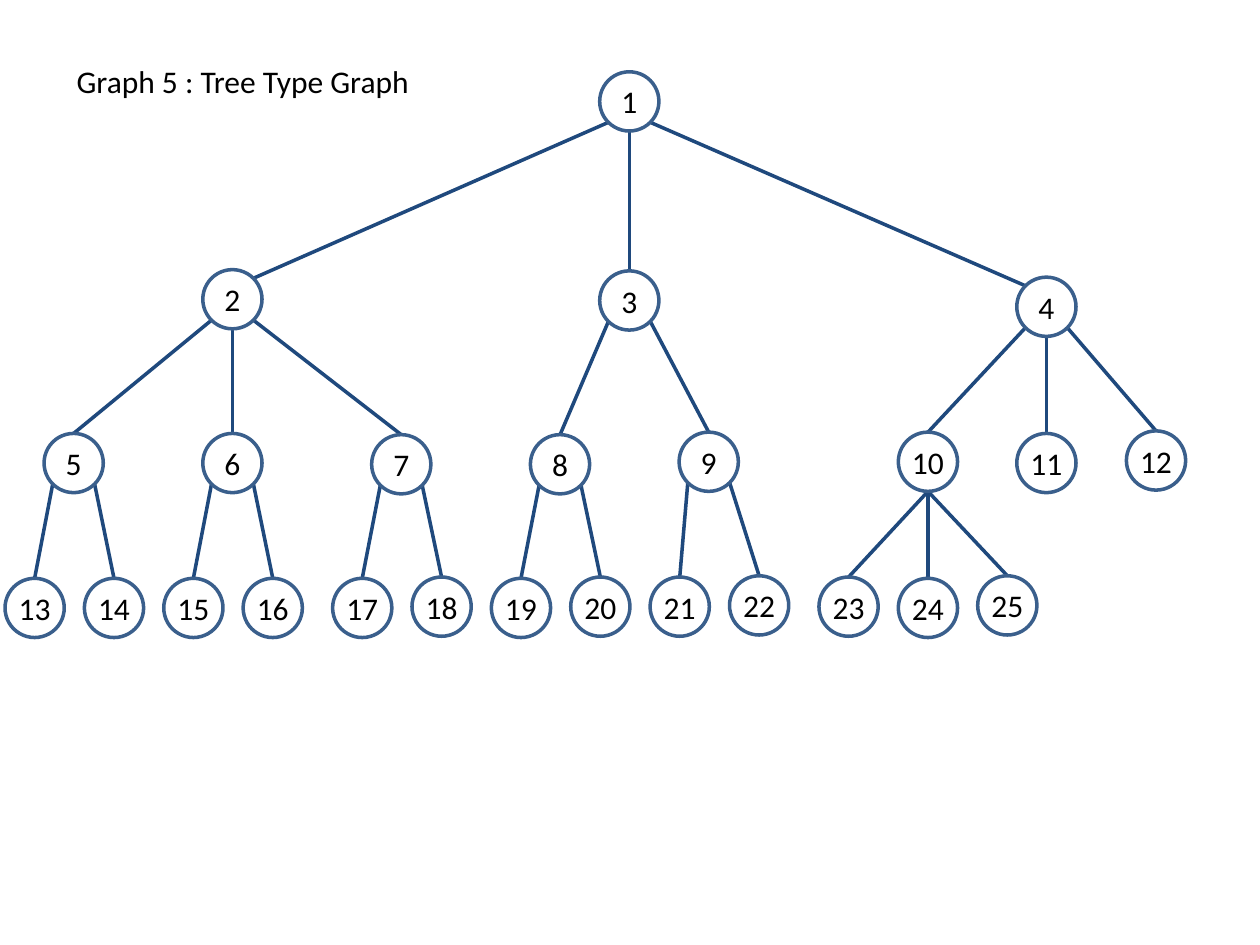
from math import sqrt
from typing import NamedTuple

from lxml.etree import SubElement
from pptx import Presentation
from pptx.dml.color import RGBColor
from pptx.enum.shapes import MSO_CONNECTOR, MSO_SHAPE
from pptx.enum.text import MSO_ANCHOR, MSO_AUTO_SIZE, PP_ALIGN
from pptx.oxml.ns import qn
from pptx.util import Inches, Pt

OUTLINE = RGBColor(0x3A, 0x5F, 0x8C)
BRANCH = RGBColor(0x1F, 0x49, 0x7D)
INK = RGBColor(0, 0, 0)
FONT = "Calibri"
DIAMETER = 0.47
LEAF_STEP = 0.63
RADIUS = DIAMETER / 2
DIAGONAL = RADIUS / sqrt(2)

# Points on a node's rim, as offsets from its centre
RIM = {
    "top": (0, -RADIUS),
    "bottom": (0, RADIUS),
    "top left": (-DIAGONAL, -DIAGONAL),
    "top right": (DIAGONAL, -DIAGONAL),
    "bottom left": (-DIAGONAL, DIAGONAL),
    "bottom right": (DIAGONAL, DIAGONAL),
}


class Node(NamedTuple):
    left: float
    top: float

    def rim(self, side: str) -> tuple[float, float]:
        dx, dy = RIM[side]
        return self.left + RADIUS + dx, self.top + RADIUS + dy


class Leaves(NamedTuple):
    first: int
    left: float
    tops: list[float]


class Family(NamedTuple):
    parent: int
    children: list[int]
    exits: list[str]


SPREAD_2 = ["bottom left", "bottom right"]
SPREAD_3 = ["bottom left", "bottom", "bottom right"]

nodes = {
    1: Node(4.76, 0.57),
    2: Node(1.61, 2.14), 3: Node(4.76, 2.15), 4: Node(8.07, 2.2),
    5: Node(0.35, 3.44), 6: Node(1.61, 3.44), 7: Node(2.95, 3.45),
    8: Node(4.21, 3.45), 9: Node(5.39, 3.43),
    10: Node(7.13, 3.43), 11: Node(8.07, 3.44), 12: Node(8.94, 3.42),
}
leaf_groups = [
    Leaves(13, 0.04, [4.59, 4.59, 4.59, 4.59]),
    Leaves(17, 2.64, [4.59, 4.58, 4.59, 4.58, 4.58, 4.57]),
    Leaves(23, 6.5, [4.58, 4.59, 4.57]),
]
for group in leaf_groups:
    for i, top in enumerate(group.tops):
        nodes[group.first + i] = Node(group.left + i * LEAF_STEP, top)

families = [
    Family(1, [2, 3, 4], SPREAD_3),
    Family(2, [5, 6, 7], SPREAD_3),
    Family(3, [8, 9], SPREAD_2),
    Family(4, [10, 11, 12], SPREAD_3),
    *(Family(p, [2 * p + 3, 2 * p + 4], SPREAD_2) for p in range(5, 10)),
    Family(10, [23, 24, 25], ["bottom"] * 3),
]
# Children entered elsewhere than at the top
entries = {2: "top right", 4: "top left"}

prs = Presentation()
prs.slide_width, prs.slide_height = Inches(10), Inches(7.5)
slide = prs.slides.add_slide(prs.slide_layouts[6])


def style_text(frame, text: str) -> None:
    frame.text = text
    font = frame.paragraphs[0].runs[0].font
    font.name, font.size = FONT, Pt(18)
    font.color.rgb = INK


def draw_branch(start: tuple[float, float], end: tuple[float, float]) -> None:
    branch = slide.shapes.add_connector(
        MSO_CONNECTOR.STRAIGHT, *(Inches(v) for v in (*start, *end)))
    branch.line.color.rgb = BRANCH
    branch.line.width = Pt(2)
    SubElement(branch._element.spPr, qn("a:effectLst"))


def draw_node(number: int, node: Node) -> None:
    circle = slide.shapes.add_shape(
        MSO_SHAPE.OVAL, Inches(node.left), Inches(node.top),
        Inches(DIAMETER), Inches(DIAMETER))
    circle.shadow.inherit = False
    circle.fill.background()
    circle.line.color.rgb = OUTLINE
    circle.line.width = Pt(2)
    frame = circle.text_frame
    frame.margin_left = frame.margin_right = 0
    frame.margin_top = frame.margin_bottom = 0
    frame.vertical_anchor = MSO_ANCHOR.MIDDLE
    style_text(frame, str(number))
    frame.paragraphs[0].alignment = PP_ALIGN.CENTER


# Title
title = slide.shapes.add_textbox(
    Inches(0.51), Inches(0.44), Inches(3.34), Inches(0.4)).text_frame
title.word_wrap = True
title.auto_size = MSO_AUTO_SIZE.SHAPE_TO_FIT_TEXT
style_text(title, "Graph 5 : Tree Type Graph")

# Branches
for family in families:
    for child, side in zip(family.children, family.exits):
        draw_branch(nodes[family.parent].rim(side),
                    nodes[child].rim(entries.get(child, "top")))

# Nodes
for number, node in nodes.items():
    draw_node(number, node)

prs.save("out.pptx")
